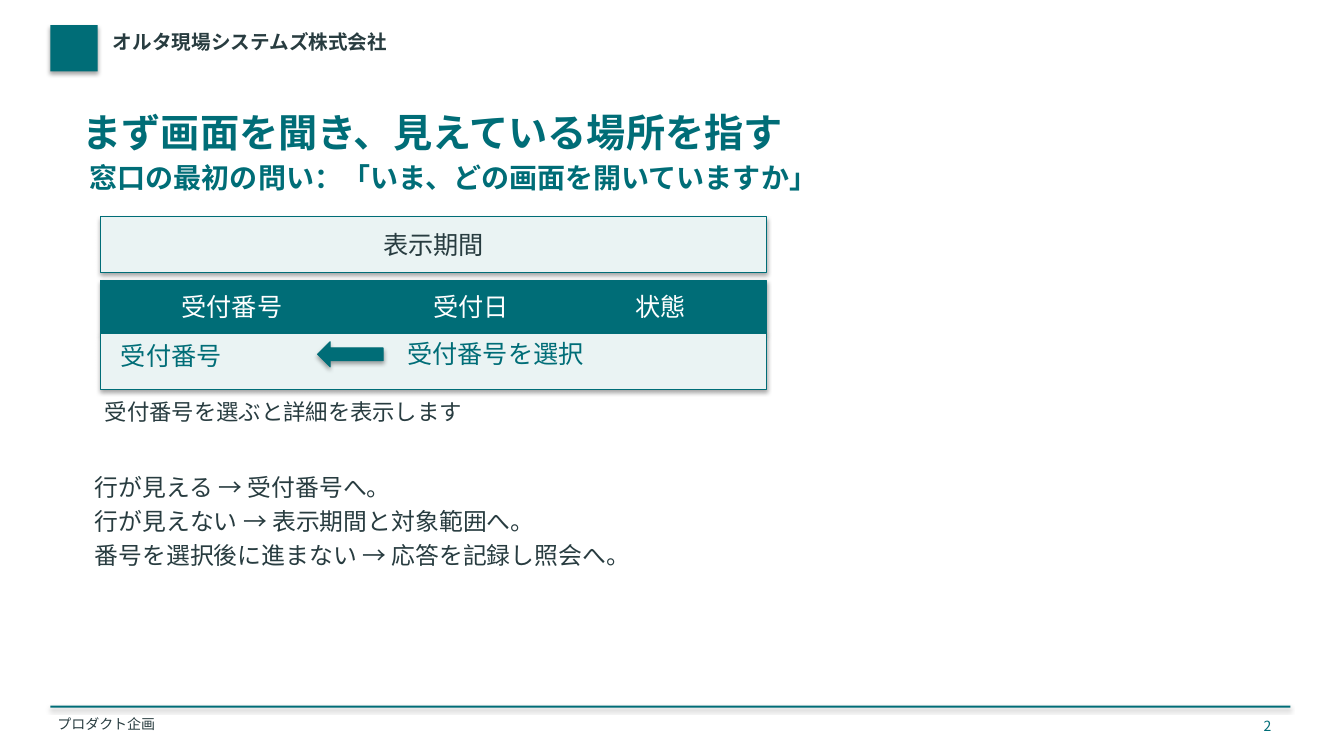
from dataclasses import dataclass

from lxml.etree import SubElement
from pptx import Presentation
from pptx.dml.color import RGBColor
from pptx.enum.shapes import MSO_SHAPE
from pptx.enum.text import MSO_ANCHOR, MSO_AUTO_SIZE, PP_ALIGN
from pptx.oxml.ns import qn
from pptx.util import Inches, Pt


@dataclass(frozen=True)
class Theme:
    """Colours, font and type sizes of the deck."""
    teal: str = "006D77"
    ink: str = "283C40"
    pale: str = "EAF3F3"
    white: str = "FFFFFF"
    font: str = "Noto Sans CJK JP"
    title: int = 28
    lead: int = 20
    label: int = 18
    body: int = 17
    note: int = 16
    brand: int = 14
    small: int = 10


THEME = Theme()


def style(para, size, color, bold=False, align=PP_ALIGN.LEFT):
    """Set the font and alignment of one paragraph."""
    para.alignment = align
    font = para.font
    font.size, font.bold = Pt(size), bold
    font.color.rgb = RGBColor.from_string(color)
    font.name = THEME.font
    props = para._p.pPr.find(qn("a:defRPr"))
    SubElement(props, qn("a:ea"), typeface=THEME.font)


def write(slide, box, lines, size, color, bold=False,
          align=PP_ALIGN.LEFT, inset=0.04, foot=0.05, after=4):
    """Add a text box with one paragraph for each line."""
    frame = slide.shapes.add_textbox(*map(Inches, box)).text_frame
    frame.word_wrap = True
    frame.auto_size = MSO_AUTO_SIZE.SHAPE_TO_FIT_TEXT
    frame.margin_left = frame.margin_right = frame.margin_top = Inches(inset)
    frame.margin_bottom = Inches(foot)
    frame.text = "\n".join(lines)
    for para in frame.paragraphs:
        style(para, size, color, bold, align)
        para.space_after = Pt(after)


def block(slide, box, fill, kind=MSO_SHAPE.RECTANGLE, edge=True):
    """Add a filled shape that keeps the theme shadow."""
    shape = slide.shapes.add_shape(kind, *map(Inches, box))
    shape.fill.solid()
    shape.fill.fore_color.rgb = RGBColor.from_string(fill)
    if edge:
        shape.line.color.rgb = RGBColor.from_string(THEME.teal)
        shape.line.width = Pt(0.75)
    else:
        shape.line.fill.background()
    return shape


def label(shape, text, color, align=PP_ALIGN.CENTER, tabs=()):
    """Write one line inside a shape, with optional tab stops."""
    frame = shape.text_frame
    frame.vertical_anchor = MSO_ANCHOR.MIDDLE
    frame.text = text
    para = frame.paragraphs[0]
    if tabs:
        stops = SubElement(para._p.get_or_add_pPr(), qn("a:tabLst"))
        for stop in tabs:
            SubElement(stops, qn("a:tab"), pos=str(Inches(stop)), algn="l")
    style(para, THEME.label, color, align=align)


def header(slide, box):
    """Place the emblem and the company name."""
    left, top, width, height = box
    block(slide, (left, top, 0.47, height), THEME.teal, edge=False)
    write(slide, (left + 0.6, top + 0.03, width - 0.6, 0.4),
          ["オルタ現場システムズ株式会社"], THEME.brand, THEME.ink, True,
          inset=0.02, foot=0.02, after=0)


def footer(slide, box):
    """Place the rule, the department and the page number."""
    left, top, width, height = box
    block(slide, (left, top, width, 0.02), THEME.teal, edge=False)
    low = top + 0.08
    write(slide, (left + 0.05, low, 9, height), ["プロダクト企画"],
          THEME.small, THEME.ink, inset=0.02, foot=0.02, after=0)
    write(slide, (left + width - 0.65, low, 0.5, height), ["2"],
          THEME.small, THEME.teal, align=PP_ALIGN.RIGHT)


def heading(slide, box):
    """Place the title and the line below it."""
    left, top, width, height = box
    write(slide, (left, top, width, height),
          ["まず画面を聞き、見えている場所を指す"], THEME.title, THEME.teal,
          True, inset=0.02, foot=0.02, after=0)
    write(slide, (left + 0.05, top + 0.5, width - 0.1, 0.48),
          ["窓口の最初の問い：「いま、どの画面を開いていますか」"],
          THEME.lead, THEME.teal, True)


def screen(slide, box):
    """Place the sketch of the list screen with its caption."""
    left, top, width, height = box
    period = block(slide, (left, top, width, 0.55), THEME.pale)
    label(period, "表示期間", THEME.ink)
    names = block(slide, (left, top + 0.63, width, 0.53), THEME.teal)
    names.text_frame.margin_left = Inches(0.8)
    label(names, "受付番号\t受付日\t状態", THEME.white,
          PP_ALIGN.LEFT, (2.5, 4.5))
    row = top + 1.16
    block(slide, (left, row, width, 0.55), THEME.pale)
    write(slide, (left + 0.16, row + 0.03, 1.7, 0.45), ["受付番号"],
          THEME.label, THEME.teal)
    block(slide, (left + 2.15, row + 0.08, 0.65, 0.25), THEME.teal,
          MSO_SHAPE.LEFT_ARROW)
    write(slide, (left + 3, row + 0.01, 3.2, 0.5), ["受付番号を選択"],
          THEME.label, THEME.teal)
    write(slide, (left, top + height - 0.4, width + 0.1, 0.4),
          ["受付番号を選ぶと詳細を表示します"], THEME.note, THEME.ink)


def advice(slide, box):
    """Place the guidance for each case."""
    write(slide, box, [
        "行が見える → 受付番号へ。",
        "行が見えない → 表示期間と対象範囲へ。",
        "番号を選択後に進まない → 応答を記録し照会へ。",
    ], THEME.body, THEME.ink)


def main():
    """Build the slide and save the deck."""
    deck = Presentation()
    deck.slide_width, deck.slide_height = Inches(13.33), Inches(7.5)
    slide = deck.slides.add_slide(deck.slide_layouts[6])
    header(slide, (0.5, 0.25, 10.6, 0.46))
    footer(slide, (0.5, 7, 12.3, 0.22))
    heading(slide, (0.8, 1.05, 11.7, 0.75))
    screen(slide, (1, 2.15, 6.6, 2.16))
    advice(slide, (0.9, 4.65, 11.8, 1.65))
    deck.save("out.pptx")


if __name__ == "__main__":
    main()
